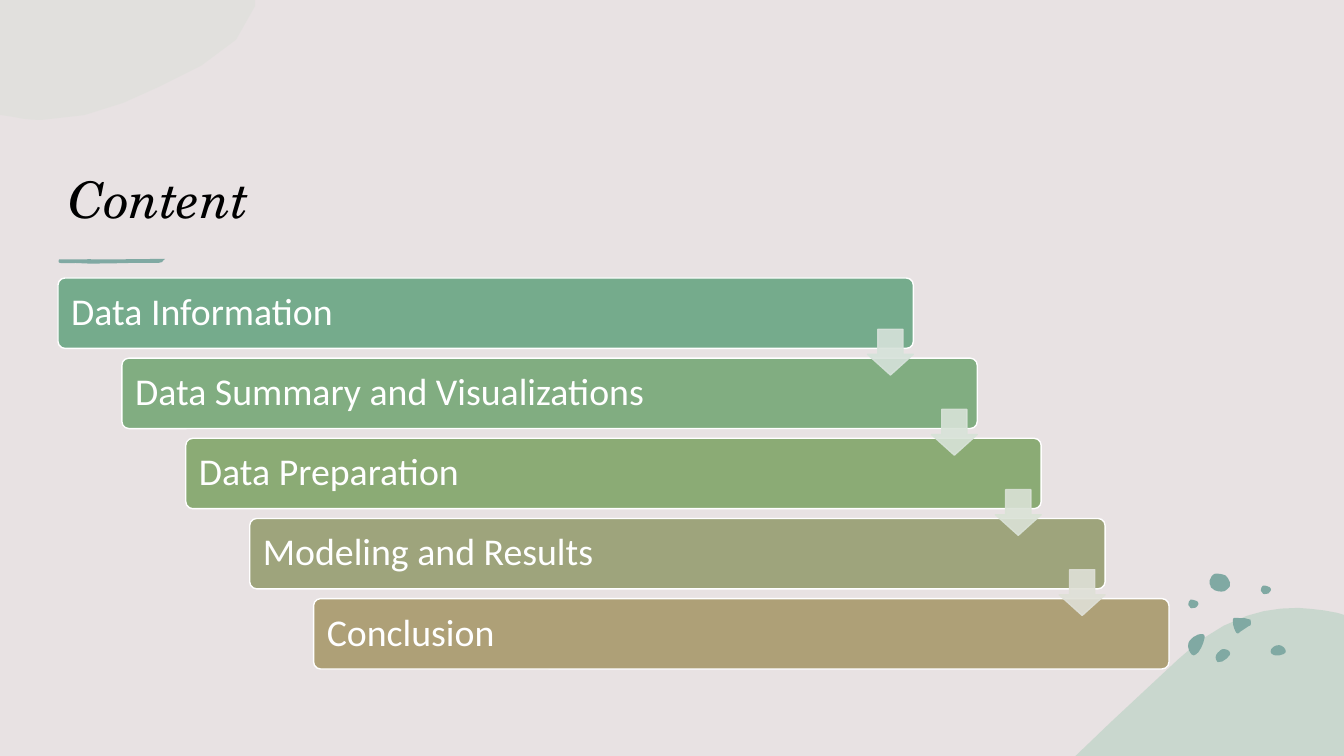
from dataclasses import dataclass, replace

from pptx import Presentation
from pptx import util as u
from pptx.dml.color import RGBColor
from pptx.enum import shapes, text
from pptx.oxml.ns import qn
from pptx.oxml.xmlchemy import OxmlElement

BACKGROUND = "E8E2E3"
TEAL = "80A9A3"
CURVE_STEPS = 3


@dataclass(frozen=True)
class Outline:
    """Segments hold an end point (line) or two controls and an end point (curve)."""
    color: str
    start: tuple[float, float]
    segments: tuple[tuple[float, ...], ...]
    opacity: int = 100
    shift: tuple[float, float] = (0, 0)
    rotation: int = 0


@dataclass(frozen=True)
class Step:
    label: str
    color: str
    arrow_color: str | None


STEPS = (
    Step("Data Information", "75AB8C", "D6E2DA"),
    Step("Data Summary and Visualizations", "81AD81", "D8E3D8"),
    Step("Data Preparation", "8BAB75", "DAE2D6"),
    Step("Modeling and Results", "9EA47C", "DFE0D7"),
    Step("Conclusion", "AEA077", None),
)
BAR_LEFT, BAR_TOP, BAR_WIDTH, BAR_HEIGHT = 41.4, 198.6, 611, 50.3
ARROW_LEFT, ARROW_TOP, ARROW_SIZE = 619.7, 235.2, 32.7
STEP_RIGHT, STEP_DOWN = 45.65, 57.25

# Drawn upright from its own corner, then turned a quarter into the slide corner.
TOP_CORNER = Outline("CDDECD", (0, 182.2), (
    (0, 0), (4.3, 0),
    (31.7, 5.8, 48.2, 38.2, 61.9, 68.4),
    (74.2, 93.6, 85.7, 120.3, 85.7, 152.7),
    (85.7, 159.9, 85, 166.4, 83.5, 172.8), (82.1, 182.2)),
    opacity=25, shift=(48.25, -48.25), rotation=90)
UNDERLINE = Outline(TEAL, (42.3, 185.3), (
    (54, 185.4), (63.4, 185.2), (79.9, 185.4), (95.8, 185.1), (113, 185),
    (118, 184.9), (115.9, 185.8, 117.4, 187.7, 113, 187.9),
    (107.3, 187.9), (95.8, 187.8), (87.1, 188), (77, 188.2),
    (64, 188.3), (54, 187.9), (43.9, 188),
    (41, 188.4, 41.8, 185.8, 42.3, 185.3)))
BOTTOM_CORNER = Outline("ACCDBA", (927.4, 434.2), (
    (936.7, 434.9, 946.1, 435.6, 955.4, 437.8),
    (960, 439.2), (960, 540), (768.2, 540), (769, 539.3),
    (793.4, 515.5, 818.6, 492.5, 841.7, 470.9),
    (857.5, 455, 874.1, 445.7, 890.6, 439.9),
    (902.9, 435.6, 915.1, 434.2, 927.4, 434.2)), opacity=50)
PEBBLE = Outline(TEAL, (900.7, 421.9), (
    (900.7, 421.9, 900.7, 419, 902.2, 418.3),
    (903.6, 418.3, 904.3, 418.3, 905.8, 419),
    (906.5, 419, 907.9, 419.8, 907.9, 421.2),
    (907.9, 421.9, 907.2, 422.6, 906.5, 423.4),
    (906.5, 423.4, 906.5, 424.1, 905, 424.1),
    (904.3, 424.1, 902.9, 424.8, 902.2, 424.1),
    (901.4, 422.6, 900.7, 422.6, 900.7, 421.9)))
SPOTS = (
    Outline(TEAL, (873.4, 463.7), (
        (874.8, 463.7, 875.5, 463.7, 877, 464.4),
        (878.4, 465.1, 879.1, 466.6, 878.4, 468),
        (877, 470.2, 872.6, 473.8, 869.8, 473),
        (869, 472.3, 868.3, 470.9, 868.3, 469.4),
        (868.3, 468, 869.8, 465.8, 871.2, 465.1),
        (871.9, 464.4, 872.6, 463.7, 873.4, 463.7))),
    Outline(TEAL, (857.5, 452.9), (
        (859, 452.9, 860.4, 452.9, 860.4, 454.3), (860.4, 455.8),
        (859.7, 459.4, 858.2, 463, 856.1, 465.8),
        (854.6, 467.3, 852.5, 469.4, 851, 467.3),
        (848.9, 465.1, 848.2, 461.5, 848.9, 459.4),
        (849.6, 457.2, 851, 456.5, 852.5, 455),
        (853.2, 455, 855.4, 452.9, 857.5, 452.9))),
    Outline(TEAL, (913.7, 460.8), (
        (915.1, 460.8, 917.3, 462.2, 918, 463.7),
        (918.7, 465.1, 918.7, 466.6, 916.6, 467.3),
        (914.4, 468.7, 908.6, 468.7, 907.9, 466.6),
        (907.2, 465.1, 907.9, 463.7, 908.6, 463),
        (910.1, 461.5, 911.5, 460.8, 913.7, 460.8))),
    Outline(TEAL, (864.7, 418.3), (
        (864, 418.3, 863.3, 414, 865.4, 411.8),
        (866.9, 410.4, 866.9, 409.7, 869, 409.7),
        (871.2, 409.7, 874.1, 410.4, 875.5, 411.1),
        (877, 412.6, 879.8, 416.2, 878.4, 419),
        (876.2, 421.2, 875.5, 422.6, 872.6, 422.6),
        (870.5, 422.6, 866.9, 421.9, 866.2, 420.5),
        (864.7, 419.8, 864.7, 419, 864.7, 418.3))),
    PEBBLE,
    replace(PEBBLE, shift=(-51.8, 10.1)),
    Outline(TEAL, (884.2, 441.4), (
        (888.5, 441.4, 896.4, 441.4, 893.5, 445.7),
        (893.5, 446.4, 892.8, 447.1, 892.1, 447.1),
        (885.6, 451.4), (884.9, 452.2, 884.2, 452.9, 883.4, 452.2), (882.7, 451.4),
        (881.3, 448.6, 880.6, 446.4, 880.6, 443.5),
        (880.6, 442.8, 880.6, 442.1, 881.3, 441.4))),
)


def paint(color_format, color: str) -> None:
    color_format.rgb = RGBColor.from_string(color)


def style_shape(shape, fill: str, line: str | None = None, opacity: int = 100) -> None:
    shape.shadow.inherit = False
    shape.fill.solid()
    paint(shape.fill.fore_color, fill)
    if line is None:
        shape.line.fill.background()
    else:
        paint(shape.line.color, line)
        shape.line.width = u.Pt(1)
    if opacity < 100:
        for color in shape.element.spPr.iter(qn("a:srgbClr")):
            alpha = OxmlElement("a:alpha")
            alpha.set("val", str(opacity * 1000))
            color.append(alpha)


def trace(outline: Outline) -> list[tuple[float, float]]:
    """Turn the lines and cubic curves of an outline into points."""
    points = [outline.start]
    for segment in outline.segments:
        if len(segment) == 2:
            points.append(segment)
            continue
        corners = (points[-1], segment[:2], segment[2:4], segment[4:])
        for step in range(1, CURVE_STEPS + 1):
            t = step / CURVE_STEPS
            weights = ((1 - t) ** 3, 3 * t * (1 - t) ** 2, 3 * t * t * (1 - t), t ** 3)
            points.append(tuple(
                sum(weight * corner[axis] for weight, corner in zip(weights, corners))
                for axis in (0, 1)))
    return [(x + outline.shift[0], y + outline.shift[1]) for x, y in points]


def draw_outline(slide, outline: Outline) -> None:
    first, *others = [(u.Pt(x), u.Pt(y)) for x, y in trace(outline)]
    builder = slide.shapes.build_freeform(*first)
    builder.add_line_segments(others, close=True)
    shape = builder.convert_to_shape()
    shape.rotation = outline.rotation
    style_shape(shape, outline.color, opacity=outline.opacity)


def write_text(shape, words: str, color: str, frame_format: dict,
               paragraph_format: dict, font_format: dict) -> None:
    frame = shape.text_frame
    paragraph = frame.paragraphs[0]
    run = paragraph.add_run()
    run.text = words
    for target, values in ((frame, frame_format), (paragraph, paragraph_format),
                           (run.font, font_format)):
        for name, value in values.items():
            setattr(target, name, value)
    paint(run.font.color, color)


def draw_title(slide) -> None:
    box = slide.shapes.add_textbox(u.Pt(41.6), u.Pt(62.5), u.Pt(793.4), u.Pt(104.4))
    write_text(box, "Content", "000000",
               {"word_wrap": True, "vertical_anchor": text.MSO_ANCHOR.BOTTOM},
               {"alignment": text.PP_ALIGN.LEFT},
               {"name": "TeX Gyre Schola", "size": u.Pt(36), "italic": True})


def draw_bar(slide, index: int, step: Step) -> None:
    bar = slide.shapes.add_shape(
        shapes.MSO_SHAPE.ROUNDED_RECTANGLE,
        u.Pt(BAR_LEFT + index * STEP_RIGHT), u.Pt(BAR_TOP + index * STEP_DOWN),
        u.Pt(BAR_WIDTH), u.Pt(BAR_HEIGHT))
    bar.adjustments[0] = 0.1
    style_shape(bar, step.color, "FFFFFF")
    margins = {f"margin_{side}": u.Pt(8) for side in ("left", "top", "right", "bottom")}
    write_text(bar, step.label, "FFFFFF",
               {"word_wrap": True, "vertical_anchor": text.MSO_ANCHOR.MIDDLE, **margins},
               {"alignment": text.PP_ALIGN.LEFT, "line_spacing": 0.9},
               {"name": "Calibri", "size": u.Pt(27)})


def draw_arrow(slide, index: int, color: str) -> None:
    arrow = slide.shapes.add_shape(
        shapes.MSO_SHAPE.DOWN_ARROW,
        u.Pt(ARROW_LEFT + index * STEP_RIGHT), u.Pt(ARROW_TOP + index * STEP_DOWN),
        u.Pt(ARROW_SIZE), u.Pt(ARROW_SIZE))
    arrow.adjustments[0], arrow.adjustments[1] = 0.55, 0.45
    style_shape(arrow, color, color, opacity=90)


def main() -> None:
    presentation = Presentation()
    presentation.slide_width, presentation.slide_height = u.Pt(960), u.Pt(540)
    slide = presentation.slides.add_slide(presentation.slide_layouts[6])
    slide.background.fill.solid()
    paint(slide.background.fill.fore_color, BACKGROUND)
    backdrop = slide.shapes.add_shape(
        shapes.MSO_SHAPE.RECTANGLE, 0, 0, u.Pt(960), u.Pt(540))
    style_shape(backdrop, BACKGROUND)
    draw_outline(slide, TOP_CORNER)
    draw_title(slide)
    for outline in (UNDERLINE, BOTTOM_CORNER, *SPOTS):
        draw_outline(slide, outline)
    for index, step in enumerate(STEPS):
        draw_bar(slide, index, step)
    for index, step in enumerate(STEPS):
        if step.arrow_color:
            draw_arrow(slide, index, step.arrow_color)
    presentation.save("out.pptx")


if __name__ == "__main__":
    main()
